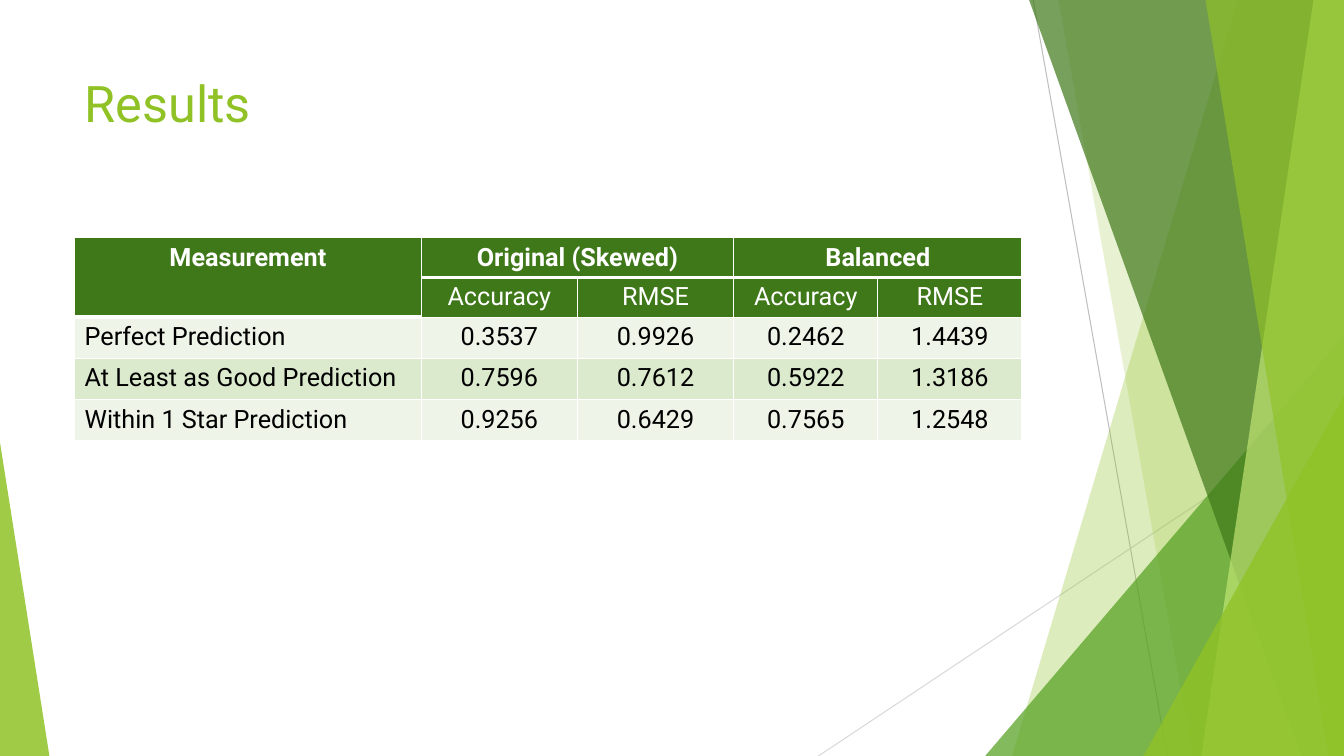
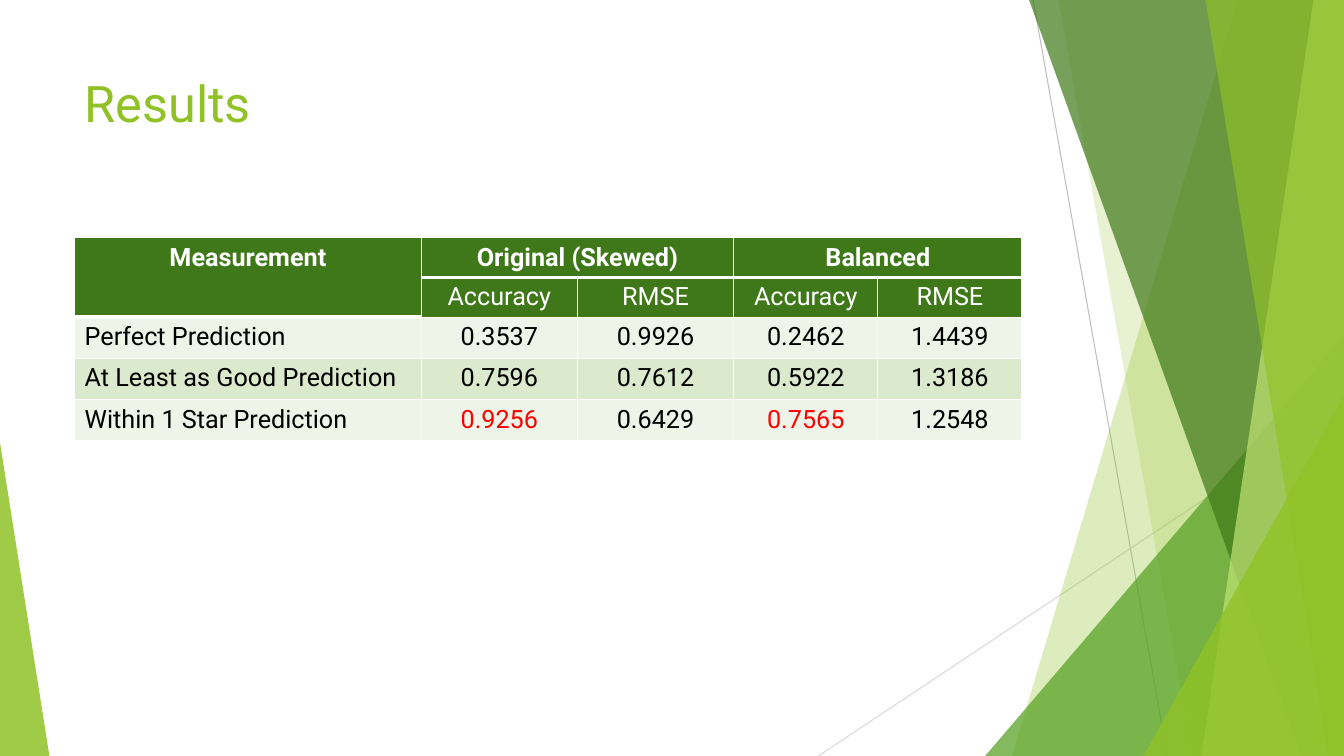
from pptx import Presentation
from pptx.util import Pt
from pptx.dml.color import RGBColor as Rgb
from pptx.enum.shapes import MSO_CONNECTOR as Conn, MSO_SHAPE as Form
from pptx.enum.text import MSO_ANCHOR as Anchor, PP_ALIGN as Align
from pptx.oxml.ns import qn
from lxml.etree import SubElement as sub

# Shared look
LIME = Rgb(0x90, 0xC2, 0x26)
LEAF = Rgb(0x54, 0xA0, 0x21)
MOSS = Rgb(0x3F, 0x78, 0x19)
PALE = Rgb(0xC0, 0xE4, 0x74)
MIST = Rgb(0xEE, 0xF4, 0xE8)
MINT = Rgb(0xDB, 0xE9, 0xCD)
GREY = Rgb(0xBF, 0xBF, 0xBF)
ASH = Rgb(0xD9, 0xD9, 0xD9)
WHITE = Rgb(0xFF, 0xFF, 0xFF)
BLACK = Rgb(0, 0, 0)
RED = Rgb(0xFF, 0, 0)
FONT = "Roboto"

WIDE, HIGH = 960, 540
PAGE = (0, 0, WIDE, HIGH)
HEAD = (53.3, 48.2, 676.8, 103.7)
GRID = (53.3, 169.9, 676.8, 145.4)

# Backdrop parts, back to front
LINES = [((738, 0), (833.8, HIGH), GREY), ((WIDE, 290.2), (584.6, HIGH), ASH)]
# Bands: left edge at the top, left edge at the bottom, colour, opacity
# Wedges: left, top, width, apex, colour, opacity
PARTS = [
    ("band", 884.2, 722.9, LIME, 30),
    ("band", 756, 851.8, LIME, 20),
    ("wedge", 703.7, 240, 256.3, 1, LEAF, 72),
    ("band", 735.1, 929.5, MOSS, 70),
    ("band", 938.2, 858.2, PALE, 70),
    ("band", 861.1, 949, LIME, 65),
    ("wedge", 816.7, 283.1, 143.3, 1, LIME, 80),
    ("wedge", 0, 316.1, 35.3, 0, LIME, 85),
]

# Results table
COLS = [247.6, 111.6, 111.6, 103, 103]
ROWS = [25.2, 25.2, 29.5, 29.5, 29.5]
SPANS = [((0, 0), (1, 0)), ((0, 1), (0, 2)), ((0, 3), (0, 4))]
DATA = [
    ["Measurement", "Original (Skewed)", "", "Balanced", ""],
    ["", "Accuracy", "RMSE", "Accuracy", "RMSE"],
    ["Perfect Prediction", "0.3537", "0.9926", "0.2462", "1.4439"],
    ["At Least as Good Prediction", "0.7596", "0.7612", "0.5922", "1.3186"],
    ["Within 1 Star Prediction", "0.9256", "0.6429", "0.7565", "1.2548"],
]


def style(font, size, color, bold=False):
    look = {"name": FONT, "size": Pt(size), "bold": bold}
    for key, value in look.items():
        setattr(font, key, value)
    font.color.rgb = color


def paint(shape, color, alpha):
    shape.shadow.inherit = False
    shape.fill.solid()
    shape.fill.fore_color.rgb = color
    shape.line.fill.background()
    tint = shape.element.spPr.find(qn("a:solidFill"))[0]
    sub(tint, qn("a:alpha"), val=str(alpha * 1000))


def band(shapes, box, top, base, color, alpha):
    x, y, w, h = box
    start = shapes.build_freeform(Pt(x + top), Pt(y))
    rest = [(x + w, y), (x + w, y + h), (x + base, y + h)]
    start.add_line_segments([(Pt(a), Pt(b)) for a, b in rest], close=True)
    paint(start.convert_to_shape(), color, alpha)


def wedge(shapes, box, left, top, width, apex, color, alpha):
    x, y, w, h = box
    shape = shapes.add_shape(Form.ISOSCELES_TRIANGLE, Pt(x + left),
                             Pt(y + top), Pt(width), Pt(h - top))
    shape.adjustments[0] = apex
    paint(shape, color, alpha)


def backdrop(slide, box):
    x, y, w, h = box
    shapes = slide.shapes.add_group_shape().shapes
    for (ax, ay), (bx, by), color in LINES:
        line = shapes.add_connector(Conn.STRAIGHT, Pt(x + ax), Pt(y + ay),
                                    Pt(x + bx), Pt(y + by))
        line.line.color.rgb = color
        line.line.width = Pt(0.75)
        sub(line.element.spPr, qn("a:effectLst"))
    draw = {"band": band, "wedge": wedge}
    for kind, *args in PARTS:
        draw[kind](shapes, box, *args)


def heading(slide, box, text):
    title = slide.shapes.title
    for key, value in zip(("left", "top", "width", "height"), box):
        setattr(title, key, Pt(value))
    frame = title.text_frame
    frame.text = text
    frame.vertical_anchor = Anchor.TOP
    para = frame.paragraphs[0]
    para.alignment = Align.LEFT
    style(para.font, 36, LIME)


def weight(row, col):
    """Width of the rule under a cell: thick below the top headings."""
    return 3 if row == 0 or (row, col) == (1, 0) else 1


def edge(cell, row, col):
    props = cell._tc.get_or_add_tcPr()
    sides = {"L": 1, "R": 1, "T": weight(row - 1, col), "B": weight(row, col)}
    for side, width in sides.items():
        line = sub(props, qn("a:ln" + side), w=str(Pt(width)))
        fill = sub(line, qn("a:solidFill"))
        sub(fill, qn("a:srgbClr"), val=str(WHITE))


def results(slide, box, hot):
    shape = slide.shapes.add_table(len(ROWS), len(COLS), *map(Pt, box))
    table = shape.table
    for col, width in zip(table.columns, COLS):
        col.width = Pt(width)
    for row, height in zip(table.rows, ROWS):
        row.height = Pt(height)
    for first, last in SPANS:
        table.cell(*first).merge(table.cell(*last))

    # Cells: two heading rows, then striped rows
    for r, texts in enumerate(DATA):
        for c, text in enumerate(texts):
            cell = table.cell(r, c)
            edge(cell, r, c)
            cell.fill.solid()
            cell.fill.fore_color.rgb = MOSS if r < 2 else (MIST, MINT)[r % 2]
            if not text:
                continue
            cell.text = text
            para = cell.text_frame.paragraphs[0]
            para.alignment = Align.LEFT if r > 1 and c == 0 else Align.CENTER
            ink = WHITE if r < 2 else RED if (r, c) in hot else BLACK
            style(para.runs[0].font, 18, ink, r == 0)


def page(deck, hot):
    slide = deck.slides.add_slide(deck.slide_layouts[5])
    backdrop(slide, PAGE)
    heading(slide, HEAD, "Results")
    results(slide, GRID, hot)


deck = Presentation()
deck.slide_width, deck.slide_height = Pt(WIDE), Pt(HIGH)
for hot in ((), ((4, 1), (4, 3))):
    page(deck, hot)
deck.save("out.pptx")
